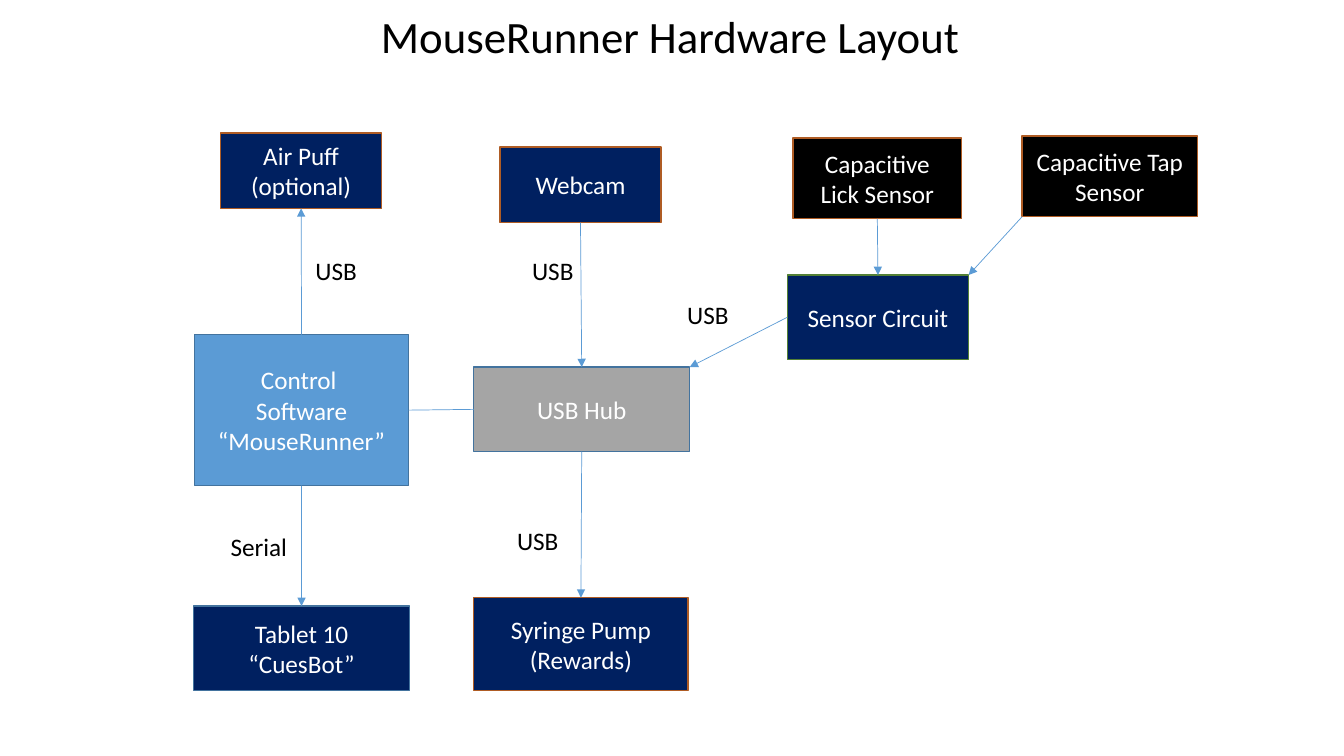
import pptx
import pptx.util
import pptx.dml.color
import pptx.enum.shapes
import pptx.enum.text
import pptx.oxml.ns
import lxml.etree

Cm = pptx.util.Cm
Pt = pptx.util.Pt
RGBColor = pptx.dml.color.RGBColor

WHITE = RGBColor(0xFF, 0xFF, 0xFF)
BLACK = RGBColor(0x00, 0x00, 0x00)
NAVY = RGBColor(0x00, 0x20, 0x60)
BLUE = RGBColor(0x5B, 0x9B, 0xD5)
GRAY = RGBColor(0xA5, 0xA5, 0xA5)
BLUE_EDGE = RGBColor(0x43, 0x73, 0x9E)
ORANGE_EDGE = RGBColor(0xAF, 0x5C, 0x24)
GREEN_EDGE = RGBColor(0x53, 0x80, 0x35)

FONT = "Calibri"
SITES = {"top": 0, "left": 1, "bottom": 2, "right": 3}
ANCHORS = {
    "top": (0.5, 0), "left": (0, 0.5), "bottom": (0.5, 1), "right": (1, 0.5),
    "top right": (1, 0), "bottom left": (0, 1),
}


def write_lines(frame, lines, size, color, align):
    for index, line in enumerate(lines):
        para = frame.paragraphs[0] if index == 0 else frame.add_paragraph()
        para.alignment = align
        span = para.add_run()
        span.text = line
        span.font.name = FONT
        span.font.size = Pt(size)
        span.font.color.rgb = color


def add_device(page, left, top, width, height, lines, fill, edge):
    box = page.shapes.add_shape(
        pptx.enum.shapes.MSO_SHAPE.RECTANGLE, Cm(left), Cm(top), Cm(width), Cm(height))
    box.shadow.inherit = False
    box.fill.solid()
    box.fill.fore_color.rgb = fill
    box.line.color.rgb = edge
    box.line.width = Pt(1)
    box.text_frame.word_wrap = True
    box.text_frame.vertical_anchor = pptx.enum.text.MSO_ANCHOR.MIDDLE
    write_lines(box.text_frame, lines, 18, WHITE, pptx.enum.text.PP_ALIGN.CENTER)
    return box


def add_text(page, left, top, width, height, text, size=18):
    box = page.shapes.add_textbox(Cm(left), Cm(top), Cm(width), Cm(height))
    box.text_frame.word_wrap = False
    box.text_frame.auto_size = pptx.enum.text.MSO_AUTO_SIZE.SHAPE_TO_FIT_TEXT
    write_lines(box.text_frame, [text], size, BLACK, pptx.enum.text.PP_ALIGN.LEFT)


def add_label(page, left, top, text, width=1.73):
    add_text(page, left, top, width, 1.02, text)


def anchor_point(box, side):
    across, down = ANCHORS[side]
    return box.left + int(box.width * across), box.top + int(box.height * down)


def link(page, source, source_side, target, target_side, arrow=True):
    line = page.shapes.add_connector(
        pptx.enum.shapes.MSO_CONNECTOR.STRAIGHT,
        *anchor_point(source, source_side), *anchor_point(target, target_side))
    if source_side in SITES:
        line.begin_connect(source, SITES[source_side])
    if target_side in SITES:
        line.end_connect(target, SITES[target_side])
    line.line.color.rgb = BLUE
    line.line.width = Pt(0.5)
    if arrow:
        outline = line.line._get_or_add_ln()
        lxml.etree.SubElement(outline, pptx.oxml.ns.qn("a:tailEnd"), type="triangle")
    properties = line._element.spPr
    lxml.etree.SubElement(properties, pptx.oxml.ns.qn("a:effectLst"))


def add_control_column(page, left, top):
    puff = add_device(page, left + 0.68, top, 4.06, 1.9,
                      ["Air Puff", "(optional)"], NAVY, ORANGE_EDGE)
    control = add_device(page, left + 0.02, top + 5.08, 5.4, 3.81,
                         ["Control ", "Software “MouseRunner”"], BLUE, BLUE_EDGE)
    tablet = add_device(page, left, top + 11.92, 5.44, 2.13,
                        ["Tablet 10", "“CuesBot”"], NAVY, BLUE_EDGE)
    link(page, control, "top", puff, "bottom")
    link(page, control, "bottom", tablet, "top")
    add_label(page, left + 2.82, top + 2.97, "USB")
    add_label(page, left + 0.68, top + 9.91, "Serial", 1.96)
    return control


def add_hub_column(page, left, top):
    webcam = add_device(page, left + 0.66, top, 4.06, 1.9,
                        ["Webcam"], NAVY, ORANGE_EDGE)
    hub = add_device(page, left, top + 5.54, 5.44, 2.13,
                     ["USB Hub"], GRAY, BLUE_EDGE)
    pump = add_device(page, left, top + 11.35, 5.4, 2.34,
                      ["Syringe Pump (Rewards)"], NAVY, ORANGE_EDGE)
    link(page, webcam, "bottom", hub, "top")
    link(page, hub, "bottom", pump, "top")
    add_label(page, left + 1.22, top + 2.61, "USB")
    add_label(page, left + 0.84, top + 9.4, "USB")
    return hub


def add_sensor_group(page, left, top):
    lick = add_device(page, left + 0.15, top + 0.05, 4.24, 2.03,
                      ["Capacitive", "Lick Sensor"], BLACK, ORANGE_EDGE)
    tap = add_device(page, left + 5.92, top, 4.42, 2.03,
                     ["Capacitive Tap", "Sensor"], BLACK, ORANGE_EDGE)
    board = add_device(page, left, top + 3.5, 4.57, 2.13,
                       ["Sensor Circuit"], NAVY, GREEN_EDGE)
    link(page, lick, "bottom", board, "top")
    link(page, tap, "bottom left", board, "top right")
    add_label(page, left - 2.77, top + 3.99, "USB")
    return board


def add_hardware_page(deck):
    page = deck.slides.add_slide(deck.slide_layouts[6])
    add_text(page, 9.35, 0.1, 15.6, 1.63, "MouseRunner Hardware Layout", 32)
    control = add_control_column(page, 4.88, 3.35)
    hub = add_hub_column(page, 11.94, 3.71)
    board = add_sensor_group(page, 19.84, 3.43)
    link(page, control, "right", hub, "left", arrow=False)
    link(page, board, "left", hub, "top right")


def main():
    deck = pptx.Presentation()
    deck.slide_width = Cm(33.87)
    deck.slide_height = Cm(19.05)
    add_hardware_page(deck)
    deck.save("out.pptx")


if __name__ == "__main__":
    main()
